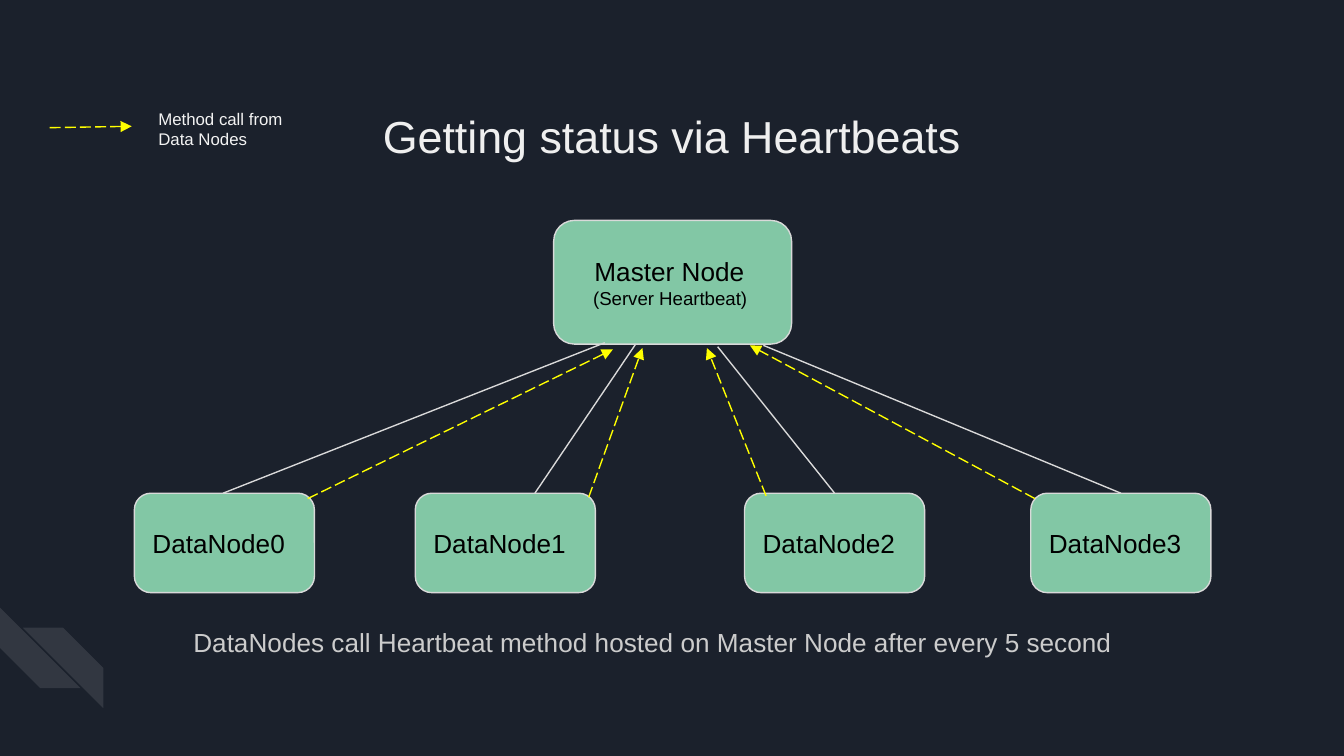
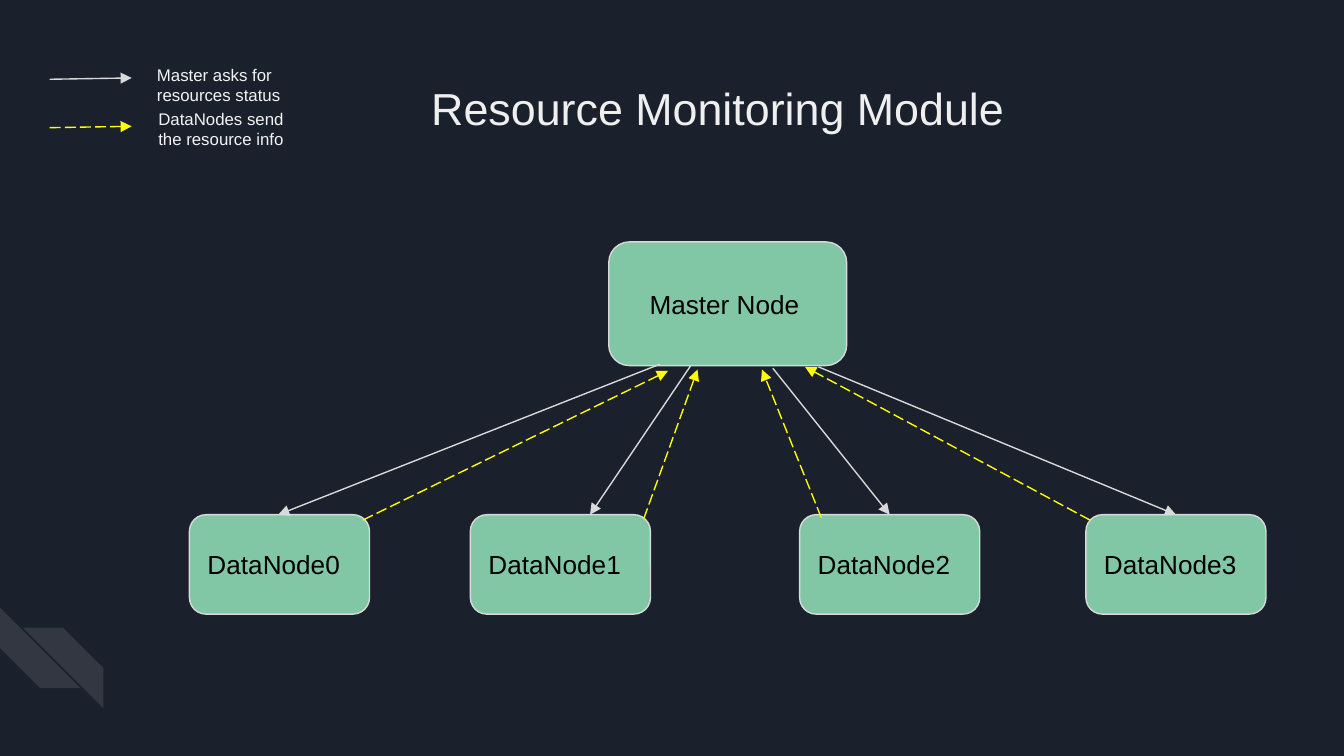
from lxml import etree
from pptx import Presentation
from pptx.dml.color import RGBColor
from pptx.enum.dml import MSO_LINE
from pptx.enum.shapes import MSO_CONNECTOR, MSO_SHAPE
from pptx.enum.text import MSO_ANCHOR, PP_ALIGN
from pptx.oxml.ns import qn
from pptx.util import Inches, Pt

STRAIGHT = MSO_CONNECTOR.STRAIGHT
ROUND_RECT = MSO_SHAPE.ROUNDED_RECTANGLE
STRIPE = MSO_SHAPE.DIAGONAL_STRIPE
LONG_DASH = MSO_LINE.LONG_DASH
TOP, MIDDLE = MSO_ANCHOR.TOP, MSO_ANCHOR.MIDDLE
LEFT = PP_ALIGN.LEFT

FONT = "Arial"
COLORS = {
    "bg": "1B212C", "node": "82C7A5", "line": "D9D9D9", "call": "FFFF00",
    "ink": "000000", "title": "EFEFEF", "caption": "CCCCCC",
    "legend": "F3F3F3", "stripe": "FFFFFF",
}
SLIDE_W = 10
SLIDE_H = SLIDE_W * 9 / 16
NODE_Y, NODE_W, NODE_H = 3.67, 1.34, 0.74
SPOKES = [
    {"left": 1.00, "link": ((4.50, 2.55), (1.66, NODE_Y)), "call": ((2.29, 3.71), (4.56, 2.60))},
    {"left": 3.09, "link": ((4.73, 2.56), (3.98, NODE_Y)), "call": ((4.38, 3.70), (4.78, 2.59))},
    {"left": 5.54, "link": ((5.34, 2.58), (6.21, NODE_Y)), "call": ((5.70, 3.69), (5.26, 2.59))},
    {"left": 7.67, "link": ((5.68, 2.57), (8.34, NODE_Y)), "call": ((7.70, 3.71), (5.58, 2.57))},
]


def rgb(name):
    """Return the named colour."""
    return RGBColor.from_string(COLORS[name])


def write(sp, lines, color, anchor=TOP):
    """Fill a shape with (text, size, left indent) paragraphs."""
    tf = sp.text_frame
    tf.word_wrap = True
    tf.vertical_anchor = anchor
    tf.margin_left = tf.margin_right = Inches(0.1)
    tf.margin_top = tf.margin_bottom = Inches(0.1)
    for i, (text, size, indent) in enumerate(lines):
        p = tf.add_paragraph() if i else tf.paragraphs[0]
        p.alignment = LEFT
        if indent:
            pPr = p._p.get_or_add_pPr()
            pPr.set("marL", str(Inches(indent)))
            pPr.set("indent", "0")
        r = p.add_run()
        r.text = text
        r.font.name = FONT
        r.font.size = Pt(size)
        r.font.color.rgb = rgb(color)


def add_text(s, x, y, w, h, text, size, color, indent=0):
    """Add a one-paragraph text box."""
    sp = s.shapes.add_textbox(Inches(x), Inches(y), Inches(w), Inches(h))
    write(sp, [(text, size, indent)], color)


def add_shape(s, kind, x, y, w, h, fill):
    """Add a flat filled shape."""
    sp = s.shapes.add_shape(kind, Inches(x), Inches(y), Inches(w), Inches(h))
    sp.shadow.inherit = False
    sp.fill.solid()
    sp.fill.fore_color.rgb = rgb(fill)
    return sp


def add_node(s, x, y, w, h, lines):
    """Add a rounded, outlined node with its label."""
    sp = add_shape(s, ROUND_RECT, x, y, w, h, "node")
    sp.line.color.rgb = rgb("line")
    sp.line.width = Pt(0.75)
    write(sp, lines, "ink", MIDDLE)


def add_line(s, start, end, color="line", dashed=False, arrow=True):
    """Add a thin line, optionally dashed or with an arrowhead."""
    cx = s.shapes.add_connector(STRAIGHT, *(Inches(v) for v in (*start, *end)))
    cx.line.color.rgb = rgb(color)
    cx.line.width = Pt(0.75)
    if dashed:
        cx.line.dash_style = LONG_DASH
    if arrow:
        etree.SubElement(cx.line._get_or_add_ln(), qn("a:tailEnd"), type="triangle")
    etree.SubElement(cx._element.spPr, qn("a:effectLst"))


def add_call(s, start, end):
    """Add a dashed arrow for a message from a data node."""
    add_line(s, start, end, "call", dashed=True)


def add_stripes(s):
    """Add the two translucent corner stripes."""
    for x, y, turned in ((0, 4.52, True), (0.17, 4.67, False)):
        sp = add_shape(s, STRIPE, x, y, 0.6, 0.6, "stripe")
        sp.line.fill.background()
        color = sp._element.spPr.find(qn("a:solidFill"))[0]
        etree.SubElement(color, qn("a:alpha"), val="10000")
        if turned:
            sp.rotation = 270
        else:
            sp._element.spPr.xfrm.set("flipH", "1")


def add_cluster(s, master_lines, dx=0, dy=0, arrows=False):
    """Add the master node, its data nodes and the lines between them."""
    def shift(*points):
        return [(x + dx, y + dy) for x, y in points]

    add_node(s, 4.12 + dx, 1.64 + dy, 1.77, 0.92, master_lines)
    for i, spoke in enumerate(SPOKES):
        add_node(s, spoke["left"] + dx, NODE_Y + dy, NODE_W, NODE_H,
                 [(f"DataNode{i}", 14, 0)])
    for spoke in SPOKES:
        add_line(s, *shift(*spoke["link"]), arrow=arrows)
        add_call(s, *shift(*spoke["call"]))


def add_legend(s, text, x, y, arrow_y, draw):
    """Add a legend label and its sample arrow."""
    draw(s, (0.37, arrow_y), (0.98, arrow_y - 0.01))
    add_text(s, x, y, 1.17, 0.41, text, 9, "legend")


def new_slide(prs, title, x, y, h):
    """Add a slide with the corner stripes and a title."""
    s = prs.slides.add_slide(prs.slide_layouts[6])
    add_stripes(s)
    add_text(s, x, y, 6.05, h, title, 24, "title", 0.78)
    return s


def heartbeat_slide(prs):
    """Build the heartbeat slide."""
    s = new_slide(prs, "Getting status via Heartbeats", 1.97, 0.71, 0.81)
    add_cluster(s, [("Master Node", 14, 0.16), ("(Server Heartbeat)", 10, 0.15)])
    add_text(s, 1.34, 4.56, 7.37, 0.69,
             "DataNodes call Heartbeat method hosted on Master Node after every 5 second",
             14, "caption")
    add_legend(s, "Method call from Data Nodes", 1.08, 0.71, 0.95, add_call)


def monitoring_slide(prs):
    """Build the resource monitoring slide."""
    s = new_slide(prs, "Resource Monitoring Module", 2.33, 0.5, 0.7)
    add_cluster(s, [("Master Node", 14, 0.16)], dx=0.41, dy=0.16, arrows=True)
    add_legend(s, "DataNodes send the resource info", 1.08, 0.71, 0.95, add_call)
    add_legend(s, "Master asks for resources status", 1.07, 0.38, 0.59, add_line)


def main():
    """Build and save the deck."""
    prs = Presentation()
    prs.slide_width, prs.slide_height = Inches(SLIDE_W), Inches(SLIDE_H)
    fill = prs.slide_master.background.fill
    fill.solid()
    fill.fore_color.rgb = rgb("bg")
    heartbeat_slide(prs)
    monitoring_slide(prs)
    prs.save("out.pptx")


if __name__ == "__main__":
    main()
